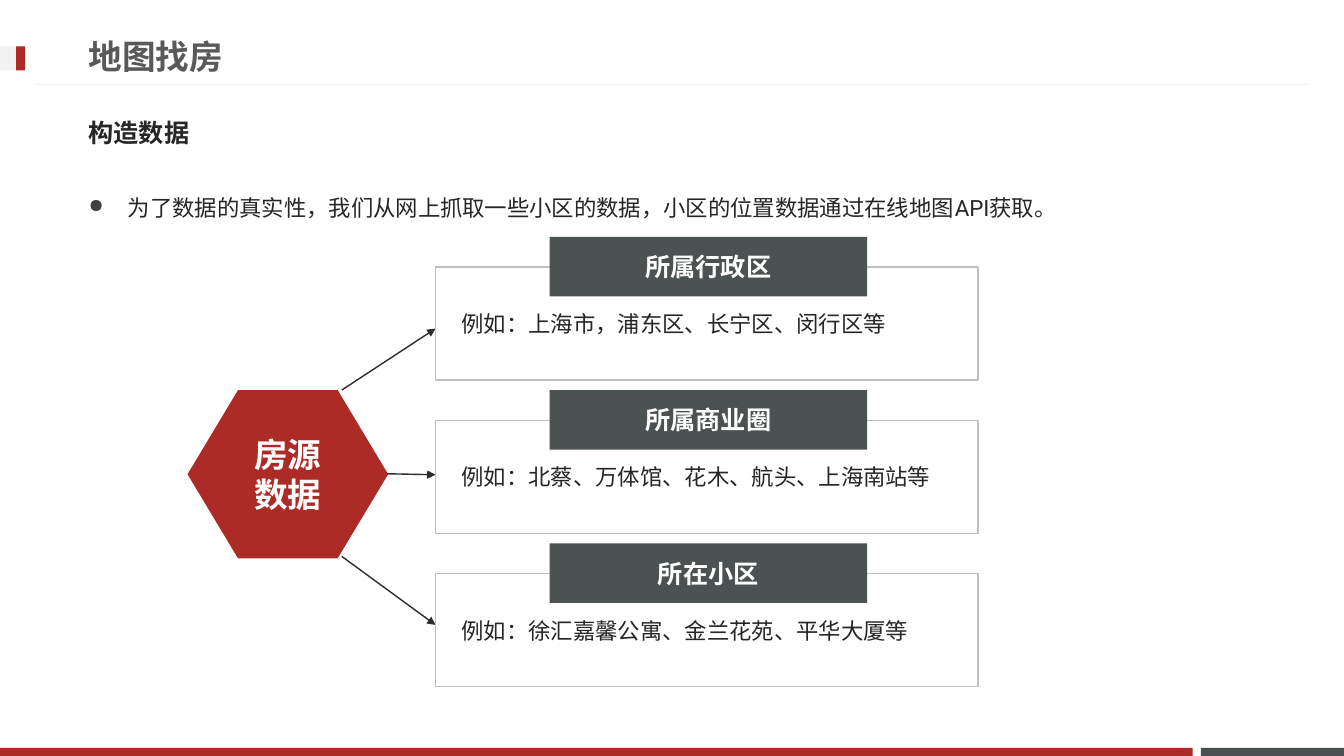
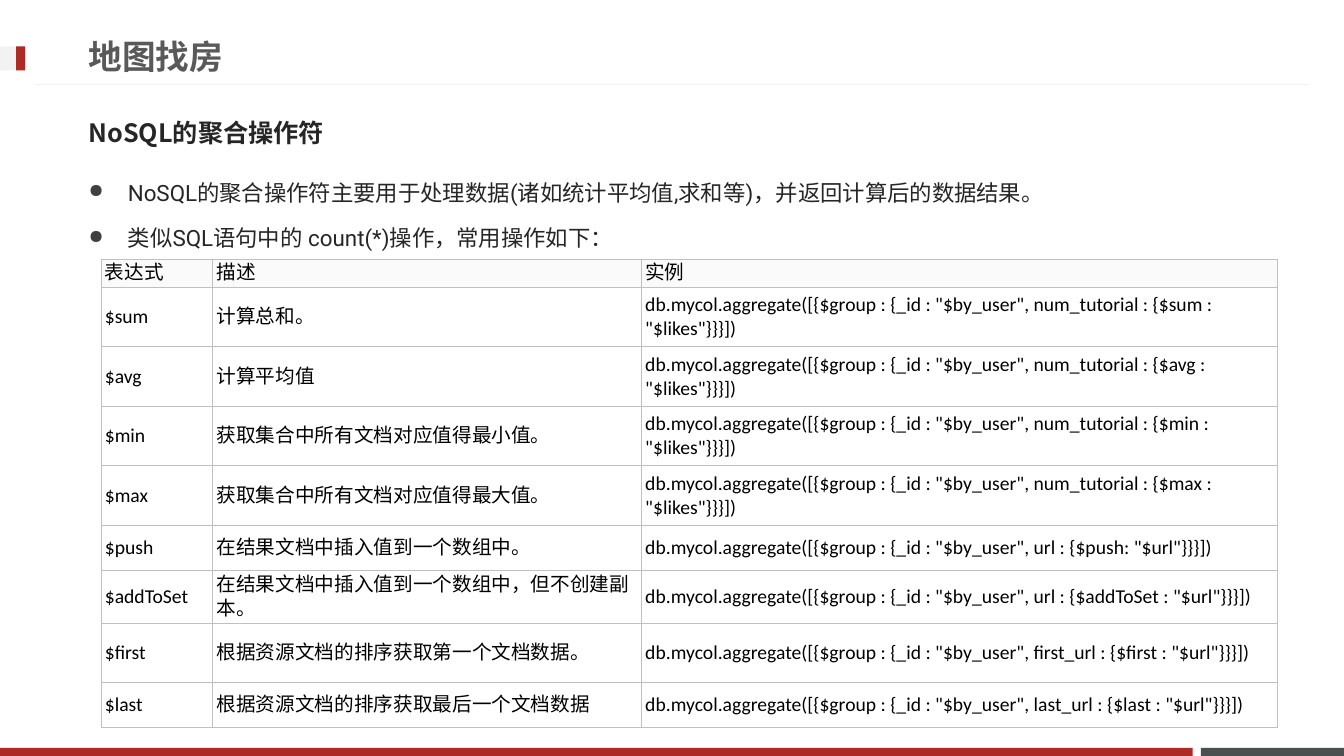
"""Build two slides on map-based house search: sample data and aggregation operators."""
from lxml.etree import SubElement
from pptx import Presentation
from pptx.dml.color import RGBColor
from pptx.enum.lang import MSO_LANGUAGE_ID
from pptx.enum.shapes import MSO_CONNECTOR, MSO_SHAPE
from pptx.enum.text import MSO_ANCHOR, MSO_AUTO_SIZE, PP_ALIGN
from pptx.oxml.ns import qn
from pptx.util import Inches, Pt

RED = RGBColor(0xAD, 0x2B, 0x26)
SLATE = RGBColor(0x49, 0x50, 0x4F)
HEADER = RGBColor(0x4C, 0x52, 0x52)
PALE = RGBColor(0xF2, 0xF2, 0xF2)
TITLE_GREY = RGBColor(0x59, 0x59, 0x59)
INK = RGBColor(0x26, 0x26, 0x26)
ARROW = RGBColor(0x2E, 0x2C, 0x2C)
CARD_EDGE = RGBColor(0xBF, 0xBF, 0xBF)
TABLE_EDGE = RGBColor(0xC0, 0xC0, 0xC0)
TABLE_HEAD = RGBColor(0xFA, 0xFA, 0xFA)
BULLET = RGBColor(0x40, 0x40, 0x40)
WHITE = RGBColor(0xFF, 0xFF, 0xFF)
BLACK = RGBColor(0, 0, 0)

NOTO, ROBOTO, CALIBRI = "Noto Sans CJK JP", "Roboto", "Calibri"


def text_style(size, name, color, bold=False):
    return {"color": color, "font": {"size": Pt(size), "name": name, "bold": bold,
                                     "language_id": MSO_LANGUAGE_ID.SIMPLIFIED_CHINESE}}


TITLE_STYLE = text_style(24, ROBOTO, TITLE_GREY, True)
HEADING_STYLE = text_style(18, NOTO, INK, True)
BODY_STYLE = text_style(16, ROBOTO, INK)
CARD_HEAD_STYLE = text_style(18, ROBOTO, WHITE, True)
CARD_STYLE = text_style(16, NOTO, INK)
HEXAGON_STYLE = text_style(24, NOTO, WHITE, True)
CELL_STYLE = text_style(14, CALIBRI, BLACK)

TITLE = "地图找房"
BANDS = [
    (11.91, 7.42, 1.42, 0.08, SLATE),
    (0, 7.42, 11.83, 0.08, RED),
    (0, 0.46, 0.25, 0.24, PALE),
    (0.16, 0.46, 0.09, 0.24, RED),
]

DATA_HEADING = "构造数据"
DATA_BULLETS = ["为了数据的真实性，我们从网上抓取一些小区的数据，小区的位置数据通过在线地图API获取。"]
SOURCE_LINES = ["房源", "数据"]
CARDS = [
    ("所属行政区", "例如：上海市，浦东区、长宁区、闵行区等"),
    ("所属商业圈", "例如：北蔡、万体馆、花木、航头、上海南站等"),
    ("所在小区", "例如：徐汇嘉馨公寓、金兰花苑、平华大厦等"),
]
CARD_LEFT, CARD_TOP, CARD_PITCH = 4.32, 2.65, 1.52
ARROWS = [(3.39, 3.87, 3.26), (3.84, 4.7, 4.71), (3.39, 5.52, 6.2)]

OPERATOR_HEADING = "NoSQL的聚合操作符"
OPERATOR_BULLETS = [
    "NoSQL的聚合操作符主要用于处理数据(诸如统计平均值,求和等)，并返回计算后的数据结果。",
    "类似SQL语句中的 count(*)操作，常用操作如下：",
]
TABLE_HEADINGS = ("表达式", "描述", "实例")
OPERATORS = [
    ("$sum", "计算总和。", 'num_tutorial : {$sum : "$likes"}', 0.59),
    ("$avg", "计算平均值", 'num_tutorial : {$avg : "$likes"}', 0.59),
    ("$min", "获取集合中所有文档对应值得最小值。", 'num_tutorial : {$min : "$likes"}', 0.59),
    ("$max", "获取集合中所有文档对应值得最大值。", 'num_tutorial : {$max : "$likes"}', 0.59),
    ("$push", "在结果文档中插入值到一个数组中。", 'url : {$push: "$url"}', 0.45),
    ("$addToSet", "在结果文档中插入值到一个数组中，但不创建副本。", 'url : {$addToSet : "$url"}', 0.52),
    ("$first", "根据资源文档的排序获取第一个文档数据。", 'first_url : {$first : "$url"}', 0.59),
    ("$last", "根据资源文档的排序获取最后一个文档数据", 'last_url : {$last : "$url"}', 0.45),
]
COLUMN_WIDTHS = (1.11, 4.25, 6.31)
HEAD_ROW_HEIGHT = 0.28
CELL_FORMAT = {"margin_left": Inches(0.04), "margin_right": Inches(0.04),
               "margin_top": Inches(0.02), "margin_bottom": Inches(0.02),
               "vertical_anchor": MSO_ANCHOR.MIDDLE}


def add_color(parent, color):
    SubElement(parent, qn("a:srgbClr"), val=str(color))


def add_bullet(paragraph):
    properties = paragraph._p.get_or_add_pPr()
    properties.set("marL", str(Inches(0.39)))
    properties.set("indent", str(Inches(-0.39)))
    add_color(SubElement(properties, qn("a:buClr")), BULLET)
    SubElement(properties, qn("a:buSzPct"), val="85000")
    SubElement(properties, qn("a:buChar"), char="●")


def write(frame, lines, style, align=PP_ALIGN.LEFT, bulleted=False):
    for index, line in enumerate(lines):
        paragraph = frame.add_paragraph() if index else frame.paragraphs[0]
        paragraph.alignment = align
        if bulleted:
            add_bullet(paragraph)
            paragraph.line_spacing = 1.5
            paragraph.space_before = Pt(4 if index else 0)
        span = paragraph.add_run()
        span.text = line
        for name, value in style["font"].items():
            setattr(span.font, name, value)
        span.font.color.rgb = style["color"]
        SubElement(span._r.get_or_add_rPr(), qn("a:ea"), typeface=style["font"]["name"])


def add_text(page, place, lines, style, anchor=MSO_ANCHOR.TOP, bulleted=False):
    frame = page.shapes.add_textbox(*map(Inches, place)).text_frame
    frame.word_wrap = True
    frame.vertical_anchor = anchor
    write(frame, lines, style, bulleted=bulleted)


def add_block(page, place, fill, edge=None, kind=MSO_SHAPE.RECTANGLE):
    block = page.shapes.add_shape(kind, *map(Inches, place))
    block.shadow.inherit = False
    block.fill.solid()
    block.fill.fore_color.rgb = fill
    if edge is None:
        block.line.fill.background()
    else:
        block.line.color.rgb = edge
        block.line.width = Pt(1)
    return block


def label(block, lines, style):
    frame = block.text_frame
    frame.vertical_anchor = MSO_ANCHOR.MIDDLE
    write(frame, lines, style, PP_ALIGN.CENTER)


def add_line(page, ends, color, width, arrow=False):
    line = page.shapes.add_connector(MSO_CONNECTOR.STRAIGHT, *map(Inches, ends))
    line.line.color.rgb = color
    line.line.width = Pt(width)
    if arrow:
        SubElement(line.line._get_or_add_ln(), qn("a:tailEnd"), type="triangle")
    SubElement(line._element.spPr, qn("a:effectLst"))


def add_page(deck, heading):
    page = deck.slides.add_slide(deck.slide_layouts[5])
    for *place, color in BANDS:
        add_block(page, place, color)
    add_line(page, (12.98, 0.84, 0.35, 0.84), PALE, 0.75)
    title = page.shapes.title
    title.left, title.top, title.width, title.height = map(Inches, (0.78, 0.27, 9.59, 0.57))
    title.text_frame.auto_size = MSO_AUTO_SIZE.NONE
    title.text_frame.vertical_anchor = MSO_ANCHOR.MIDDLE
    write(title.text_frame, [TITLE], TITLE_STYLE)
    add_text(page, (0.78, 1.03, 11.76, 0.57), [heading], HEADING_STYLE, MSO_ANCHOR.MIDDLE)
    return page


def build_data_page(deck):
    page = add_page(deck, DATA_HEADING)
    add_text(page, (0.78, 1.74, 11.76, 0.52), DATA_BULLETS, BODY_STYLE, bulleted=True)
    hexagon = add_block(page, (1.86, 3.87, 1.99, 1.67), RED, kind=MSO_SHAPE.HEXAGON)
    hexagon.adjustments[0] = 0.3
    label(hexagon, SOURCE_LINES, HEXAGON_STYLE)
    for left, start, end in ARROWS:
        add_line(page, (left, start, CARD_LEFT, end), ARROW, 1, arrow=True)
    for index, (heading, example) in enumerate(CARDS):
        top = CARD_TOP + index * CARD_PITCH
        add_block(page, (CARD_LEFT, top, 5.38, 1.12), WHITE, CARD_EDGE)
        header = add_block(page, (5.45, top - 0.3, 3.15, 0.59), HEADER)
        label(header, [heading], CARD_HEAD_STYLE)
        add_text(page, (4.48, top + 0.38, 5, 0.37), [example], CARD_STYLE)


def format_cell(cell, text, fill):
    for name, value in CELL_FORMAT.items():
        setattr(cell, name, value)
    properties = cell._tc.get_or_add_tcPr()
    for side in ("lnL", "lnR", "lnT", "lnB"):
        border = SubElement(properties, qn(f"a:{side}"), w=str(Pt(0.5)))
        add_color(SubElement(border, qn("a:solidFill")), TABLE_EDGE)
    cell.fill.solid()
    cell.fill.fore_color.rgb = fill
    write(cell.text_frame, [text], CELL_STYLE)


def build_operator_page(deck):
    page = add_page(deck, OPERATOR_HEADING)
    add_text(page, (0.78, 1.59, 11.76, 0.93), OPERATOR_BULLETS, BODY_STYLE, bulleted=True)
    rows = [TABLE_HEADINGS]
    heights = [HEAD_ROW_HEIGHT]
    for operator, description, field, height in OPERATORS:
        code = 'db.mycol.aggregate([{$group : {_id : "$by_user", ' + field + "}}])"
        rows.append((operator, description, code))
        heights.append(height)
    place = (1, 2.57, sum(COLUMN_WIDTHS), sum(heights))
    table = page.shapes.add_table(len(rows), len(COLUMN_WIDTHS), *map(Inches, place)).table
    table.first_row = table.horz_banding = False
    for column, width in zip(table.columns, COLUMN_WIDTHS):
        column.width = Inches(width)
    for index, (row, texts, height) in enumerate(zip(table.rows, rows, heights)):
        row.height = Inches(height)
        for cell, text in zip(row.cells, texts):
            format_cell(cell, text, WHITE if index else TABLE_HEAD)


def main():
    deck = Presentation()
    deck.slide_width, deck.slide_height = Inches(13.33), Inches(7.5)
    build_data_page(deck)
    build_operator_page(deck)
    deck.save("out.pptx")


if __name__ == "__main__":
    main()
